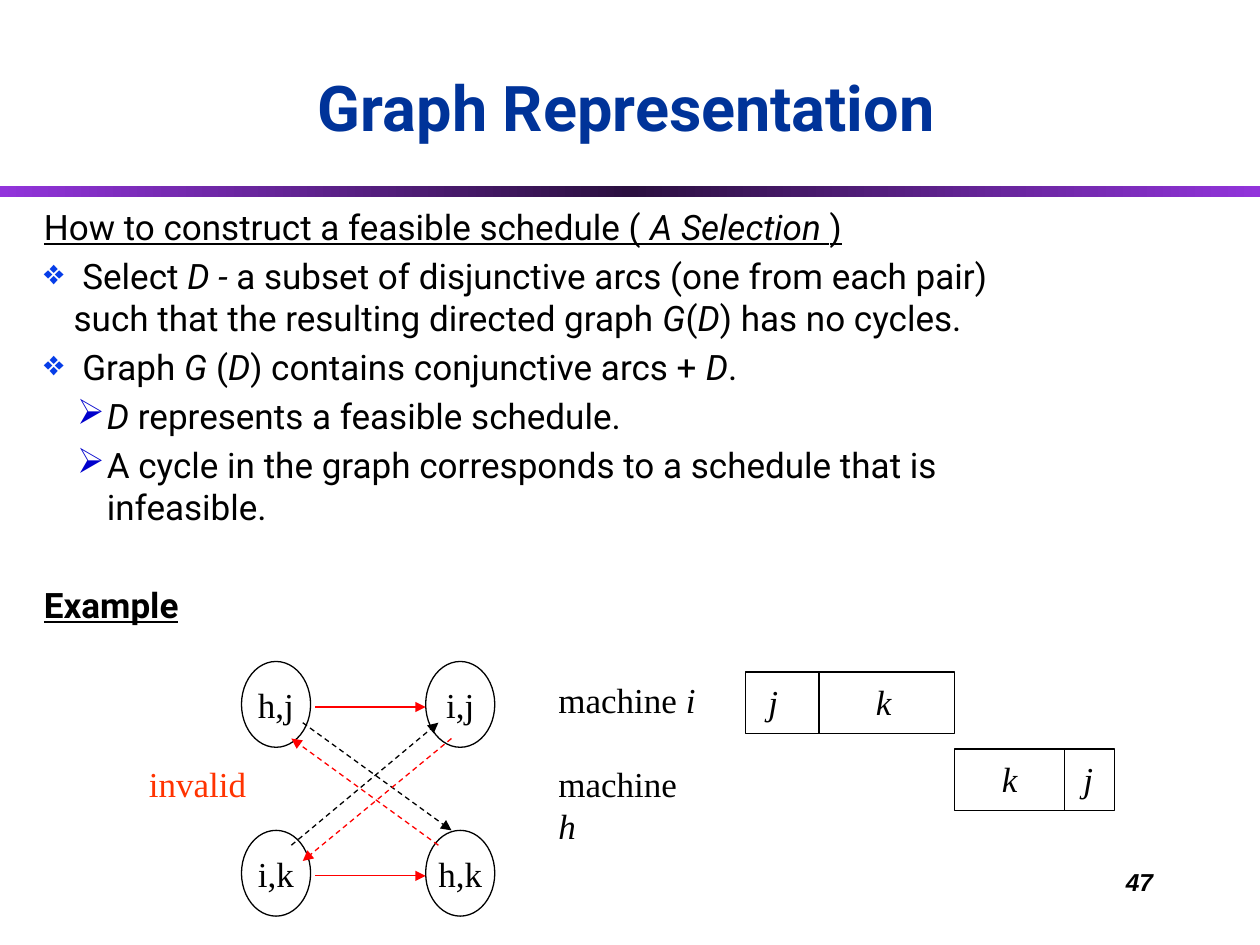
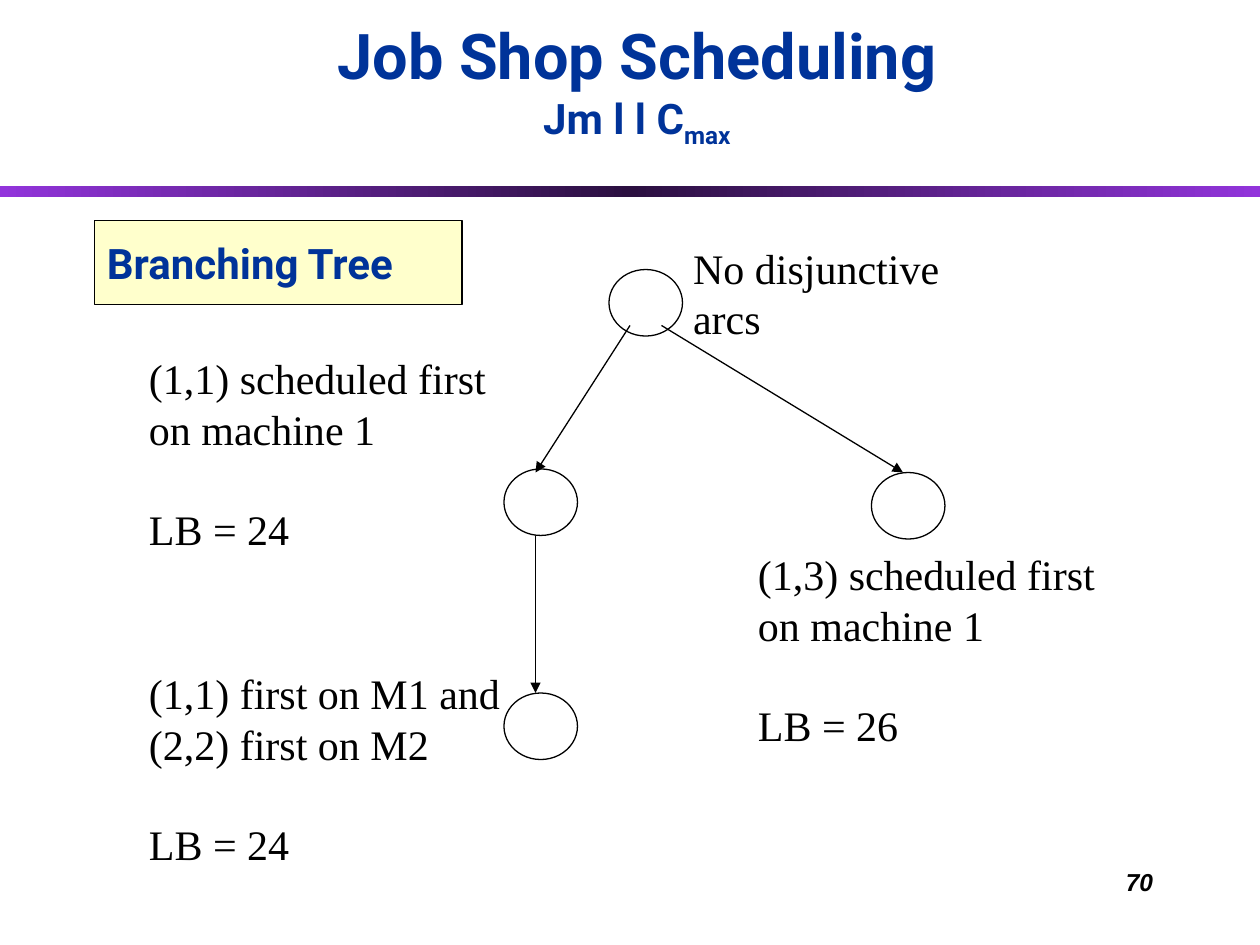
from dataclasses import dataclass, field
from copy import deepcopy

from lxml import etree
from pptx import Presentation
from pptx.dml.color import RGBColor
from pptx.enum.dml import MSO_LINE
from pptx.enum.shapes import MSO_CONNECTOR, MSO_SHAPE
from pptx.enum.text import MSO_ANCHOR, PP_ALIGN
from pptx.oxml.ns import qn
from pptx.util import Pt

RECTANGLE, OVAL = MSO_SHAPE.RECTANGLE, MSO_SHAPE.OVAL
STRAIGHT, DASH = MSO_CONNECTOR.STRAIGHT, MSO_LINE.DASH
TOP, MIDDLE, BOTTOM = MSO_ANCHOR.TOP, MSO_ANCHOR.MIDDLE, MSO_ANCHOR.BOTTOM
LEFT, CENTER, RIGHT = PP_ALIGN.LEFT, PP_ALIGN.CENTER, PP_ALIGN.RIGHT

BLACK, RED, ORANGE = "000000", "FF0000", "FF3300"
NAVY, CREAM = "003399", "FFFFCC"
BAND_STOPS = [(0, "9234DB"), (0.5, "2B1040"), (1, "9234DB")]

# Shared text formats
SERIF = {"name": "Times New Roman", "size": 20, "color": BLACK}
TREE = SERIF | {"size": 24}
BODY = {"name": "Roboto", "size": 20, "color": BLACK}
TITLE = {"name": "Roboto", "size": 36, "color": NAVY, "bold": True}
SUBTITLE = TITLE | {"size": 24}
NUMBER = {"name": "Arial", "size": 14, "color": BLACK,
          "bold": True, "italic": True}


@dataclass
class Line:
    """One paragraph; parts between asterisks are italic."""
    text: str
    style: dict
    align: int = LEFT
    before: float = 0
    after: float = 0
    indent: float = 0
    hang: float = 0
    bullet: str = ""
    bullet_color: str = BLACK
    subscript: str = ""


@dataclass
class Label:
    left: float
    top: float
    width: float
    height: float
    lines: list[Line] = field(default_factory=list)
    anchor: int = TOP
    wrap: bool = False


@dataclass
class Arrow:
    start: tuple[float, float]
    end: tuple[float, float]
    color: str = BLACK
    dashed: bool = False
    head: bool = True


@dataclass
class MachineBar:
    left: float
    top: float
    width: float
    divider: float
    jobs: list[tuple[str, float]]


def rgb(value: str) -> RGBColor:
    return RGBColor.from_string(value)


def add_span(para, text: str, style: dict):
    span = para.add_run()
    span.text = text
    for name, value in style.items():
        if name == "color":
            span.font.color.rgb = rgb(value)
        else:
            setattr(span.font, name, Pt(value) if name == "size" else value)
    return span


def add_bullet(para, line: Line) -> None:
    properties = para._p.get_or_add_pPr()
    properties.set("marL", str(Pt(line.indent)))
    properties.set("indent", str(-Pt(line.hang)))
    if line.bullet:
        color = etree.SubElement(properties, qn("a:buClr"))
        etree.SubElement(color, qn("a:srgbClr"), val=line.bullet_color)
        etree.SubElement(properties, qn("a:buChar"), char=line.bullet)


def write_lines(frame, lines: list[Line]) -> None:
    for index, line in enumerate(lines):
        para = frame.add_paragraph() if index else frame.paragraphs[0]
        para.alignment = line.align
        if line.before:
            para.space_before = Pt(line.before)
        if line.after:
            para.space_after = Pt(line.after)
        if line.indent:
            add_bullet(para, line)
        for position, part in enumerate(line.text.split("*")):
            if part:
                slant = {"italic": True} if position % 2 else {}
                add_span(para, part, line.style | slant)
        if line.subscript:
            span = add_span(para, line.subscript, line.style)
            span._r.get_or_add_rPr().set("baseline", "-25000")


def add_label(page, label: Label) -> None:
    box = page.shapes.add_textbox(Pt(label.left), Pt(label.top),
                                  Pt(label.width), Pt(label.height))
    frame = box.text_frame
    frame.word_wrap = label.wrap
    frame.vertical_anchor = label.anchor
    write_lines(frame, label.lines)


def add_outline(page, kind: int, left: float, top: float, width: float,
                height: float, fill: str = ""):
    shape = page.shapes.add_shape(kind, Pt(left), Pt(top),
                                  Pt(width), Pt(height))
    shape.shadow.inherit = False
    if fill:
        shape.fill.solid()
        shape.fill.fore_color.rgb = rgb(fill)
    else:
        shape.fill.background()
    shape.line.color.rgb = rgb(BLACK)
    shape.line.width = Pt(0.75)
    shape.text_frame.vertical_anchor = MIDDLE
    return shape


def add_arrow(page, arrow: Arrow) -> None:
    points = [Pt(value) for value in (*arrow.start, *arrow.end)]
    connector = page.shapes.add_connector(STRAIGHT, *points)
    connector.line.color.rgb = rgb(arrow.color)
    connector.line.width = Pt(0.75)
    if arrow.dashed:
        connector.line.dash_style = DASH
    if arrow.head:
        outline = connector.line._get_or_add_ln()
        etree.SubElement(outline, qn("a:tailEnd"), type="triangle")
    etree.SubElement(connector._element.spPr, qn("a:effectLst"))


def add_machine_bar(page, bar: MachineBar) -> None:
    height = 35
    add_outline(page, RECTANGLE, bar.left, bar.top, bar.width, height)
    add_arrow(page, Arrow((bar.divider, bar.top),
                          (bar.divider, bar.top + height), head=False))
    for job, left in bar.jobs:
        add_label(page, Label(left, bar.top + 1.5, 22, 31,
                              [Line(f"*{job}*", SERIF)]))


def add_page(deck, number: int, title: Label):
    """Start a page with its gradient band, number and title."""
    page = deck.slides.add_slide(deck.slide_layouts[6])
    band = add_outline(page, RECTANGLE, 0, 106.5, 720, 6)
    band.line.fill.background()
    band.fill.gradient()
    band.fill.gradient_angle = 0
    stop_list = band._element.spPr.find(".//" + qn("a:gsLst"))
    stop_list.insert(1, deepcopy(stop_list[0]))
    for stop, (position, color) in zip(band.fill.gradient_stops, BAND_STOPS):
        stop.position = position
        stop.color.rgb = rgb(color)
    add_label(page, Label(516, 492, 150, 36,
                          [Line(str(number), NUMBER, RIGHT)], wrap=True))
    add_label(page, title)
    return page


def build_graph_page(deck) -> None:
    page = add_page(deck, 47, Label(
        12, 36, 692, 50, [Line("Graph Representation", TITLE, CENTER)],
        BOTTOM, True))

    # Explanation
    point = {"style": BODY, "after": 4, "indent": 17, "hang": 17,
             "bullet": "❖", "bullet_color": "063DE8"}
    subpoint = point | {"indent": 36, "bullet": "➢", "bullet_color": "0000CC"}
    underlined = BODY | {"underline": True}
    add_label(page, Label(18, 114, 583, 252, [
        Line("How to construct a feasible schedule ( *A Selection *)",
             underlined, after=4),
        Line(" Select *D - *a subset of disjunctive arcs (one from each pair) "
             "such that the resulting directed graph *G*(*D*) has no cycles.",
             **point),
        Line(" Graph *G *(*D*) contains conjunctive arcs + *D*.", **point),
        Line("*D* represents a feasible schedule.", **subpoint),
        Line("A cycle in the graph corresponds to a schedule that is "
             "infeasible.", **subpoint),
        Line("Example", underlined | {"bold": True}, before=28, after=4),
    ], wrap=True))

    # Operation nodes on a two by two grid
    for index, operation in enumerate(["h,j", "i,j", "i,k", "h,k"]):
        row, column = divmod(index, 2)
        node = add_outline(page, OVAL, 138 + 105.25 * column,
                           378 + 96.5 * row, 39.5, 49)
        node.text_frame.word_wrap = False
        write_lines(node.text_frame, [Line(operation, SERIF, CENTER)])

    # Conjunctive arcs, then disjunctive pairs
    for arrow in [
        Arrow((180, 404), (243.25, 404), RED),
        Arrow((180, 500.5), (243.25, 500.5), RED),
        Arrow((173, 413), (258, 474.5), dashed=True),
        Arrow((250.5, 483), (166.5, 422), RED, True),
        Arrow((166.5, 483), (250.5, 413), dashed=True),
        Arrow((258, 422), (173, 492), RED, True),
    ]:
        add_arrow(page, arrow)
    add_label(page, Label(78, 432, 70, 31,
                          [Line("invalid", SERIF | {"color": ORANGE})]))

    # Machine schedules
    for machine, top, width in [("i", 384, 93), ("h", 432, 97)]:
        add_label(page, Label(312, top, width, 31,
                              [Line(f"machine *{machine}*", SERIF)]))
    for bar in [
        MachineBar(426, 384, 119.5, 468, [("j", 432), ("k", 493.5)]),
        MachineBar(545.5, 428, 91.5, 608.5, [("k", 565.5), ("j", 612)]),
    ]:
        add_machine_bar(page, bar)


def build_tree_page(deck) -> None:
    page = add_page(deck, 70, Label(18, 12, 692, 77, [
        Line("Job Shop Scheduling", TITLE, CENTER),
        Line("Jm l l C", SUBTITLE, CENTER, subscript="max"),
    ], BOTTOM, True))
    heading = add_outline(page, RECTANGLE, 54, 126, 210, 48, CREAM)
    write_lines(heading.text_frame, [Line("Branching Tree", SUBTITLE)])

    # Tree nodes and branches
    for left, top in [(348, 154), (288, 268), (498, 270), (288, 396)]:
        add_outline(page, OVAL, left, top, 42, 38)
    for start, end in [((360, 186), (306, 270)), ((378, 186), (516, 270)),
                       ((306, 306), (306, 396))]:
        add_arrow(page, Arrow(start, end))

    # Branch descriptions with lower bounds
    add_label(page, Label(389, 135, 199, 36,
                          [Line("No disjunctive arcs", TREE)]))
    for left, top, width, first, second, bound in [
        (78, 198, 207, "(1,1) scheduled first", "on machine 1", 24),
        (426, 310, 207, "(1,3) scheduled first", "on machine 1", 26),
        (78, 378, 215, "(1,1) first on M1 and", "(2,2) first on M2", 24),
    ]:
        add_label(page, Label(left, top, width, 122, [
            Line(first, TREE), Line(second, TREE),
            Line(f"LB = {bound}", TREE, before=28.5)]))


def main() -> None:
    deck = Presentation()
    deck.slide_width, deck.slide_height = Pt(720), Pt(540)
    build_graph_page(deck)
    build_tree_page(deck)
    deck.save("out.pptx")


if __name__ == "__main__":
    main()
